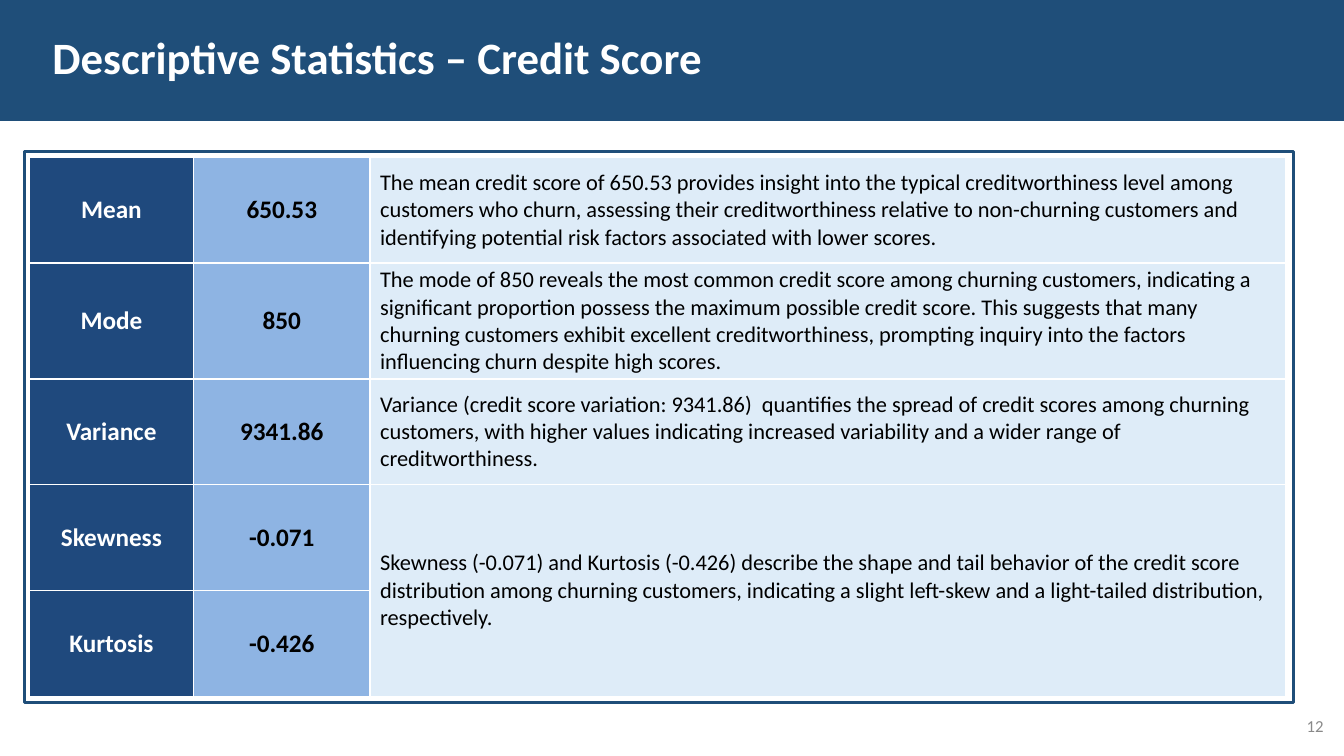
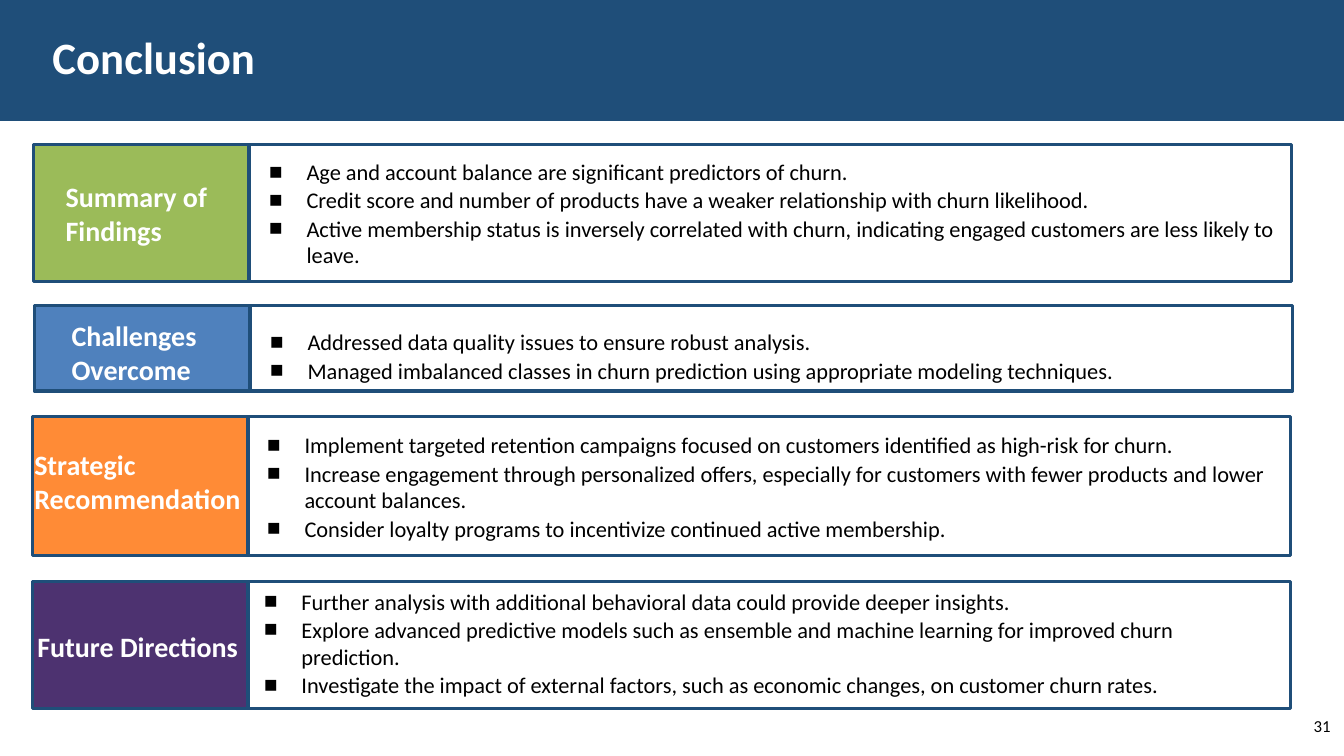
from lxml.etree import SubElement
from pptx import Presentation
from pptx.dml.color import RGBColor
from pptx.enum.shapes import MSO_SHAPE
from pptx.enum.text import MSO_ANCHOR, MSO_AUTO_SIZE, PP_ALIGN
from pptx.oxml import parse_xml
from pptx.oxml.ns import nsdecls, qn
from pptx.util import Inches, Pt

rgb = RGBColor.from_string
FONT = "Calibri"
NAVY, WHITE, BLACK, GREY = "1F4E79", "FFFFFF", "000000", "898989"


def add_rect(s, left, top, width, height, fill=None, line=None):
    sp = s.shapes.add_shape(MSO_SHAPE.RECTANGLE, Inches(left), Inches(top),
                            Inches(width), Inches(height))
    sp.shadow.inherit = False
    if fill:
        sp.fill.solid()
        sp.fill.fore_color.rgb = rgb(fill)
    else:
        sp.fill.background()
    if line:
        sp.line.color.rgb = rgb(line)
        sp.line.width = Pt(2.25)
    else:
        sp.line.fill.background()
    return sp


def write(tf, text, size, color, bold=False, align=PP_ALIGN.LEFT):
    """Write text into the first paragraph, or a new one if that is taken."""
    p = tf.paragraphs[0]
    if p.runs:
        p = tf.add_paragraph()
        p.space_before = Pt(1)
    p.alignment = align
    r = p.add_run()
    r.text = text
    r.font.name, r.font.size, r.font.bold = FONT, Pt(size), bold
    r.font.color.rgb = rgb(color)
    return p


prs = Presentation()
prs.slide_width, prs.slide_height = Inches(13.33), Inches(7.5)
layout = prs.slide_layouts[5]

# Title and page number of each slide
HEADINGS = [
    ("Descriptive Statistics – Credit Score", "12", 12.96, GREY),
    ("Conclusion", "31", 13.03, BLACK),
]
for title, number, number_left, number_color in HEADINGS:
    s = prs.slides.add_slide(layout)
    sp = s.shapes.title
    sp.left, sp.top = Inches(0.52), Inches(0.27)
    sp.width, sp.height = Inches(10.12), Inches(0.56)
    write(sp.text_frame, title, 32, WHITE, bold=True)
    sp = s.shapes.add_textbox(Inches(number_left), Inches(7.08),
                              Inches(0.27), Inches(0.21))
    write(sp.text_frame, number, 12, number_color)
stats_slide, conclusion_slide = prs.slides

# The band belongs to the layout, so both slides share it
band = add_rect(stats_slide, 0, 0, 13.33, 1.2, fill=NAVY)
layout.shapes._spTree.insert(2, band._element)

# Statistics table
STATS = [
    ("Mean", "650.53",
     "The mean credit score of 650.53 provides insight into the typical "
     "creditworthiness level among customers who churn, assessing their "
     "creditworthiness relative to non-churning customers and identifying "
     "potential risk factors associated with lower scores."),
    ("Mode", "850",
     "The mode of 850 reveals the most common credit score among churning "
     "customers, indicating a significant proportion possess the maximum "
     "possible credit score. This suggests that many churning customers "
     "exhibit excellent creditworthiness, prompting inquiry into the factors "
     "influencing churn despite high scores."),
    ("Variance", "9341.86",
     "Variance (credit score variation: 9341.86)  quantifies the spread of "
     "credit scores among churning customers, with higher values indicating "
     "increased variability and a wider range of creditworthiness."),
    ("Skewness", "-0.071",
     "Skewness (-0.071) and Kurtosis (-0.426) describe the shape and tail "
     "behavior of the credit score distribution among churning customers, "
     "indicating a slight left-skew and a light-tailed distribution, "
     "respectively."),
    ("Kurtosis", "-0.426", None),
]
COLUMNS = [  # width, fill, size, colour, bold, alignment
    (1.63, "1F497D", 18, WHITE, True, PP_ALIGN.CENTER),
    (1.75, "8EB4E3", 18, BLACK, True, PP_ALIGN.CENTER),
    (9.08, "DEECF8", 16, BLACK, False, PP_ALIGN.LEFT),
]
add_rect(stats_slide, 0.24, 1.5, 12.59, 5.47, line=NAVY)
table = stats_slide.shapes.add_table(
    len(STATS), len(COLUMNS), Inches(0.29), Inches(1.56),
    Inches(12.46), Inches(5.35)).table
table.first_row = table.horz_banding = False
for row, stat in enumerate(STATS):
    table.rows[row].height = Inches(1.15 if stat[0] == "Mode" else 1.05)
    for col, (width, fill, *style) in enumerate(COLUMNS):
        table.columns[col].width = Inches(width)
        cell = table.cell(row, col)
        cell.fill.solid()
        cell.fill.fore_color.rgb = rgb(fill)
        cell.vertical_anchor = MSO_ANCHOR.MIDDLE
        cell.margin_top = cell.margin_bottom = Inches(0.03)
        for i, side in enumerate(("lnL", "lnR", "lnT", "lnB")):
            cell._tc.tcPr.insert(i, parse_xml(
                f'<a:{side} {nsdecls("a")} w="12700"><a:solidFill>'
                f'<a:srgbClr val="{WHITE}"/></a:solidFill></a:{side}>'))
        if stat[col]:
            write(cell.text_frame, stat[col], *style)
table.cell(3, 2).merge(table.cell(4, 2))

# Conclusion panels
LABEL_WIDTH, BODY_WIDTH = 2.14, 10.34
PANELS = [  # fill, left, top, height, label, label box, bullets' left and top, bullets
    ("9BBB59", 0.33, 1.43, 1.36, "Summary of Findings",
     (0.65, 1.76, 1.51, 0.69), (2.65, 1.55),
     ["Age and account balance are significant predictors of churn.",
      "Credit score and number of products have a weaker relationship with "
      "churn likelihood.",
      "Active membership status is inversely correlated with churn, "
      "indicating engaged customers are less likely to leave."]),
    ("4F81BD", 0.34, 3.03, 0.85, "Challenges Overcome",
     (0.71, 3.14, 1.4, 0.69), (2.66, 3.24),
     ["Addressed data quality issues to ensure robust analysis.",
      "Managed imbalanced classes in churn prediction using appropriate "
      "modeling techniques."]),
    ("FF8B36", 0.32, 4.13, 1.38, "Strategic Recommendation",
     (0.34, 4.42, 2.13, 0.69), (2.63, 4.26),
     ["Implement targeted retention campaigns focused on customers "
      "identified as high-risk for churn.",
      "Increase engagement through personalized offers, especially for "
      "customers with fewer products and lower account balances.",
      "Consider loyalty programs to incentivize continued active "
      "membership."]),
    ("4D3270", 0.32, 5.77, 1.26, "Future Directions",
     (0.37, 6.22, 2.03, 0.35), (2.6, 5.81),
     ["Further analysis with additional behavioral data could provide deeper "
      "insights.",
      "Explore advanced predictive models such as ensemble and machine "
      "learning for improved churn prediction.",
      "Investigate the impact of external factors, such as economic changes, "
      "on customer churn rates."]),
]
s = conclusion_slide
for fill, left, top, height, label, label_box, body_at, bullets in PANELS:
    add_rect(s, left, top, LABEL_WIDTH, height, fill, NAVY)
    add_rect(s, left + LABEL_WIDTH, top, BODY_WIDTH, height, line=NAVY)
    sp = s.shapes.add_textbox(*map(Inches, label_box))
    write(sp.text_frame, label, 20, WHITE, bold=True)
    body_left, body_top = body_at
    sp = s.shapes.add_textbox(Inches(body_left), Inches(body_top), Inches(10.05),
                              Inches(top + height - body_top))
    for bullet in bullets:
        p = write(sp.text_frame, bullet, 16, BLACK)
        pPr = p._p.get_or_add_pPr()
        pPr.set("marL", str(Inches(0.39)))
        pPr.set("indent", str(Inches(-0.37)))
        SubElement(pPr, qn("a:buFont")).set("typeface", "Arial")
        SubElement(pPr, qn("a:buChar")).set("char", "■")

# All text starts at the top of its box, with almost no inset
for s in prs.slides:
    for sp in s.shapes:
        if sp.has_text_frame:
            tf = sp.text_frame
            tf.word_wrap = True
            tf.auto_size = MSO_AUTO_SIZE.NONE
            tf.vertical_anchor = MSO_ANCHOR.TOP
            tf.margin_left = tf.margin_right = tf.margin_bottom = 0
            tf.margin_top = Inches(0.02)

prs.save("out.pptx")
